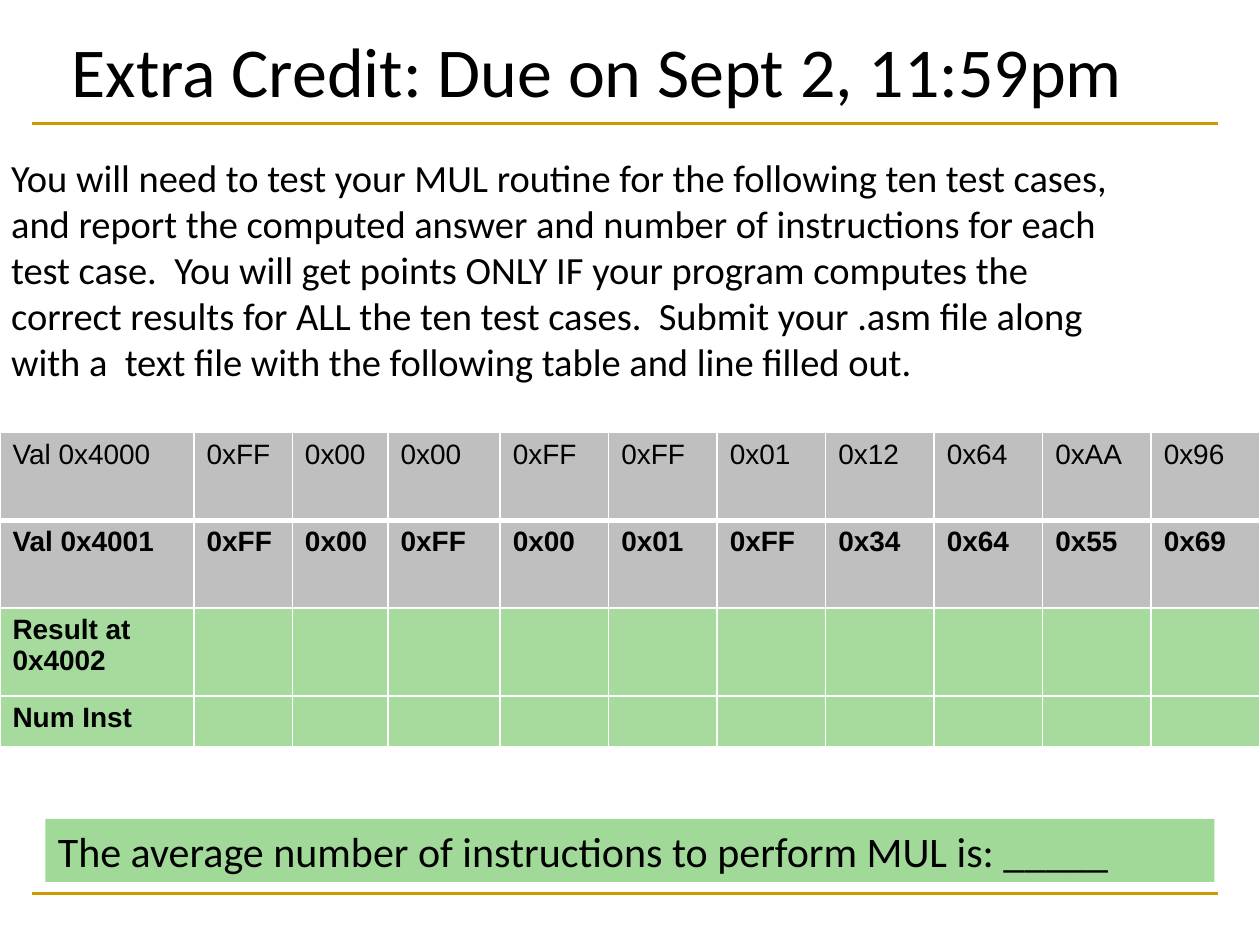
import pptx
import pptx.dml.color
import pptx.enum.shapes
import pptx.enum.text
import pptx.oxml
import pptx.oxml.ns
import pptx.util

Pt = pptx.util.Pt

TITLE = "Extra Credit: Due on Sept 2, 11:59pm"
INSTRUCTIONS = [
    "You will need to test your MUL routine for the following ten test cases,",
    "and report the computed answer and number of instructions for each",
    "test case.  You will get points ONLY IF your program computes the",
    "correct results for ALL the ten test cases.  Submit your .asm file along",
    "with a  text file with the following table and line filled out.",
]
FIRST_VALUES = ["0xFF", "0x00", "0x00", "0xFF", "0xFF", "0x01", "0x12", "0x64", "0xAA", "0x96"]
SECOND_VALUES = ["0xFF", "0x00", "0xFF", "0x00", "0x01", "0xFF", "0x34", "0x64", "0x55", "0x69"]
UNANSWERED = [""] * len(FIRST_VALUES)
# label, values, fill, bold, height
TEST_CASES = [
    ("Val 0x4000", FIRST_VALUES, "given", False, 50.2),
    ("Val 0x4001", SECOND_VALUES, "given", True, 50.2),
    ("Result at\n0x4002", UNANSWERED, "answer", True, 50.2),
    ("Num Inst", UNANSWERED, "answer", True, 28.8),
]
AVERAGE = "The average number of instructions to perform MUL is: _____"

THEME = {
    "text": "000000", "rule": "CC9900", "border": "FFFFFF",
    "given": "BFBFBF", "answer": "A6DB9D", "average": "A1DA98",
    "prose_font": "Calibri", "table_font": "Arial",
    "title_size": 40, "body_size": 22, "average_size": 24, "table_size": 16,
}

SLIDE_WIDTH, SLIDE_HEIGHT = 720, 540
RULE_LEFT, RULE_RIGHT = 18, 696.2
RULE_HEIGHTS = [510.5, 70.6]
TABLE_TOP = 247.2
LEADING_WIDTHS = [110.9, 56.2, 54.7, 64.1]


def color(name):
    return pptx.dml.color.RGBColor.from_string(THEME[name])


def style(paragraph, size, font="prose_font", bold=False):
    paragraph.font.name = THEME[font]
    paragraph.font.size = Pt(THEME[size])
    paragraph.font.color.rgb = color("text")
    paragraph.font.bold = bold


def add_rule(slide, y):
    rule = slide.shapes.add_connector(
        pptx.enum.shapes.MSO_CONNECTOR.STRAIGHT,
        Pt(RULE_LEFT), Pt(y), Pt(RULE_RIGHT), Pt(y))
    rule.line.color.rgb = color("rule")
    rule.line.width = Pt(1.5)
    properties = rule.element.find(pptx.oxml.ns.qn("p:spPr"))
    properties.append(pptx.oxml.parse_xml(
        f'<a:effectLst {pptx.oxml.ns.nsdecls("a")}/>'))


def add_prose(slide, box, lines, size):
    """Add one paragraph whose lines are separated by line breaks."""
    frame = slide.shapes.add_textbox(*map(Pt, box)).text_frame
    frame.word_wrap = True
    paragraph = frame.paragraphs[0]
    paragraph.text = "\v".join(lines)
    style(paragraph, size)


def add_borders(cell, widths):
    """Draw borders from a dict of side (L, R, T, B) to width in points."""
    properties = cell._tc.get_or_add_tcPr()
    for position, (side, width) in enumerate(widths.items()):
        properties.insert(position, pptx.oxml.parse_xml(
            f'<a:ln{side} {pptx.oxml.ns.nsdecls("a")} w="{Pt(width)}"><a:solidFill>'
            f'<a:srgbClr val="{THEME["border"]}"/></a:solidFill></a:ln{side}>'))


def add_test_cases(slide):
    columns = 1 + len(FIRST_VALUES)
    equal_columns = columns - len(LEADING_WIDTHS)
    equal_width = (SLIDE_WIDTH - sum(LEADING_WIDTHS)) / equal_columns
    height = sum(case[-1] for case in TEST_CASES)
    table = slide.shapes.add_table(
        len(TEST_CASES), columns, 0, Pt(TABLE_TOP), Pt(SLIDE_WIDTH), Pt(height)).table
    table.first_row = table.horz_banding = False
    for column, width in zip(table.columns, LEADING_WIDTHS + [equal_width] * equal_columns):
        column.width = Pt(width)

    for index, (label, values, fill, bold, row_height) in enumerate(TEST_CASES):
        table.rows[index].height = Pt(row_height)
        borders = {"L": 1, "R": 1, "T": 3 if index == 1 else 1, "B": 3 if index == 0 else 1}
        for cell, value in zip(table.rows[index].cells, [label] + values):
            cell.text = value
            cell.fill.solid()
            cell.fill.fore_color.rgb = color(fill)
            add_borders(cell, borders)
            for paragraph in cell.text_frame.paragraphs:
                style(paragraph, "table_size", "table_font", bold)


def add_average(slide):
    banner = slide.shapes.add_shape(
        pptx.enum.shapes.MSO_SHAPE.RECTANGLE, Pt(26), Pt(468), Pt(668), Pt(36))
    banner.shadow.inherit = False
    banner.fill.solid()
    banner.fill.fore_color.rgb = color("average")
    banner.line.fill.background()
    frame = banner.text_frame
    frame.word_wrap = True
    frame.vertical_anchor = pptx.enum.text.MSO_ANCHOR.TOP
    paragraph = frame.paragraphs[0]
    paragraph.text = AVERAGE
    paragraph.alignment = pptx.enum.text.PP_ALIGN.LEFT
    style(paragraph, "average_size")


def main():
    presentation = pptx.Presentation()
    presentation.slide_width = Pt(SLIDE_WIDTH)
    presentation.slide_height = Pt(SLIDE_HEIGHT)
    slide = presentation.slides.add_slide(presentation.slide_layouts[6])
    for y in RULE_HEIGHTS:
        add_rule(slide, y)
    add_prose(slide, (33.8, 12.2, 656.6, 55.4), [TITLE], "title_size")
    add_prose(slide, (-0.7, 84.2, 689, 245.5), INSTRUCTIONS, "body_size")
    add_test_cases(slide)
    add_average(slide)
    presentation.save("out.pptx")


if __name__ == "__main__":
    main()
